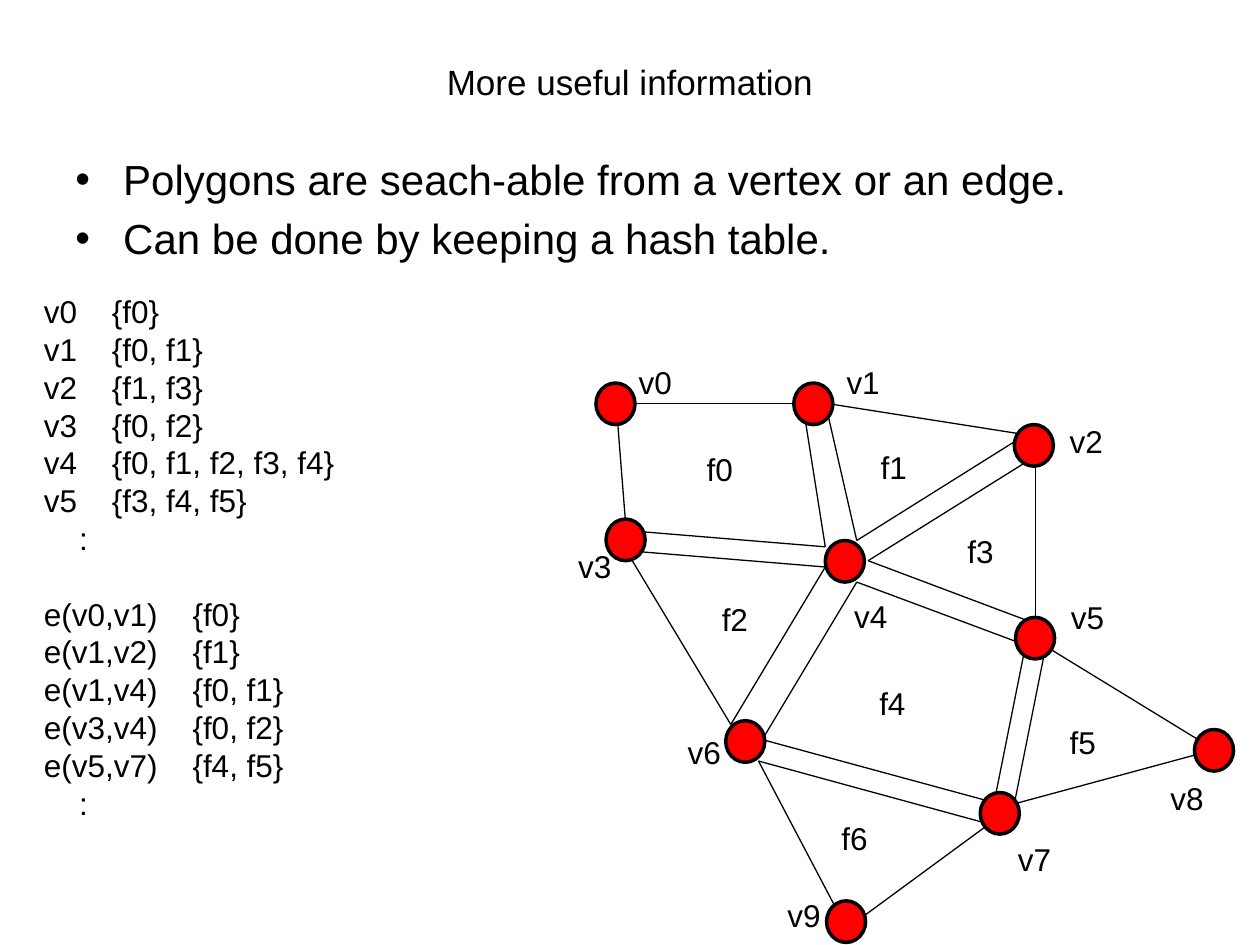
from dataclasses import dataclass
from lxml.etree import SubElement
from pptx import Presentation
from pptx.dml.color import RGBColor
from pptx.enum.shapes import MSO_CONNECTOR, MSO_SHAPE
from pptx.enum.text import MSO_ANCHOR, PP_ALIGN
from pptx.oxml.ns import qn
from pptx.util import Cm, Pt


@dataclass(frozen=True)
class Theme:
    font: str = "Arial"
    ink: RGBColor = RGBColor(0, 0, 0)
    node: RGBColor = RGBColor(255, 0, 0)
    head: float = 20
    body: float = 24
    note: float = 18
    thin: float = 0.75
    ring: float = 2


THEME = Theme()
TITLE = "More useful information"
POINTS = [
    "Polygons are seach-able from a vertex or an edge.",
    "Can be done by keeping a hash table.",
]
TABLES = [
    (0.54, [
        ("v0", "{f0}"),
        ("v1", "{f0, f1}"),
        ("v2", "{f1, f3}"),
        ("v3", "{f0, f2}"),
        ("v4", "{f0, f1, f2, f3, f4}"),
        ("v5", "{f3, f4, f5}"),
    ]),
    (1.18, [
        ("e(v0,v1)", "{f0}"),
        ("e(v1,v2)", "{f1}"),
        ("e(v1,v4)", "{f0, f1}"),
        ("e(v3,v4)", "{f0, f2}"),
        ("e(v5,v7)", "{f4, f5}"),
    ]),
]
FACES = [
    ("f0", (5.51, 3.52), [(4.89, 3.2), (6.37, 3.2), (6.55, 4.34), (4.97, 4.21)]),
    ("f1", (6.89, 3.51), [(6.55, 3.2), (8.14, 3.45), (6.8, 4.29)]),
    ("f2", (5.63, 4.71), [(6.55, 4.5), (5.8, 5.75), (4.97, 4.37)]),
    ("f3", (7.58, 4.17), [(6.89, 4.45), (8.22, 3.62), (8.22, 4.95)]),
    ("f4", (6.88, 5.38), [(6.8, 4.62), (8.14, 5.12), (7.89, 6.37), (6.05, 5.87)]),
    ("f5", (8.39, 5.69), [(9.64, 5.95), (8.05, 6.38), (8.3, 5.13)]),
    ("f6", (6.58, 6.45), [(6.02, 6.04), (7.85, 6.54), (6.72, 7.37)]),
]
NODES = [
    ("v0", (4.97, 2.83), (4.73, 3.04)),
    ("v1", (6.62, 2.83), (6.3, 3.04)),
    ("v2", (8.39, 3.3), (8.05, 3.37)),
    ("v3", (4.49, 4.29), (4.81, 4.12)),
    ("v4", (6.68, 4.69), (6.55, 4.29)),
    ("v5", (8.4, 4.7), (8.06, 4.9)),
    ("v6", (5.36, 5.77), (5.76, 5.72)),
    ("v7", (7.98, 6.62), (7.78, 6.29)),
    ("v8", (9.19, 6.13), (9.48, 5.79)),
    ("v9", (6.15, 7.06), (6.56, 7.15)),
]
DOT = (0.31, 0.33)
TAG = (0.79, 0.4)


def inch(num):
    return Cm(num * 2.54)


def span(*nums):
    return [inch(num) for num in nums]


def add_run(para, text, size):
    run = para.add_run()
    run.text = text
    run.font.name = THEME.font
    run.font.size = Pt(size)
    run.font.color.rgb = THEME.ink


def add_box(slide, place, size):
    frame = slide.shapes.add_textbox(*span(*place, *size)).text_frame
    frame.word_wrap = True
    return frame


def add_para(frame, first):
    return frame.paragraphs[0] if first else frame.add_paragraph()


def add_tag(slide, text, place):
    frame = add_box(slide, place, TAG)
    add_run(frame.paragraphs[0], text, THEME.note)


def add_edge(slide, start, end):
    edge = slide.shapes.add_connector(
        MSO_CONNECTOR.STRAIGHT, *span(*start, *end))
    edge.line.color.rgb = THEME.ink
    edge.line.width = Pt(THEME.thin)
    SubElement(edge._element.spPr, qn("a:effectLst"))


def add_dot(slide, place):
    dot = slide.shapes.add_shape(MSO_SHAPE.OVAL, *span(*place, *DOT))
    dot.shadow.inherit = False
    dot.fill.solid()
    dot.fill.fore_color.rgb = THEME.node
    dot.line.color.rgb = THEME.ink
    dot.line.width = Pt(THEME.ring)


def add_head(slide):
    frame = add_box(slide, (0.5, 0.3), (9, 0.7))
    frame.vertical_anchor = MSO_ANCHOR.MIDDLE
    frame.paragraphs[0].alignment = PP_ALIGN.CENTER
    add_run(frame.paragraphs[0], TITLE, THEME.head)


def add_points(slide):
    frame = add_box(slide, (0.5, 1.17), (9, 5.53))
    for num, text in enumerate(POINTS):
        para = add_para(frame, num == 0)
        para.space_before = Pt(THEME.body * 0.2)
        para.line_spacing = Pt(THEME.body * 1.2)
        props = para._p.get_or_add_pPr()
        props.set("marL", str(inch(0.38)))
        props.set("indent", str(-inch(0.38)))
        SubElement(props, qn("a:buFont"), typeface=THEME.font)
        SubElement(props, qn("a:buChar"), char="•")
        add_run(para, text, THEME.body)


def add_tables(slide):
    frame = add_box(slide, (0.25, 2.27), (3.83, 4.64))
    pitch = Pt(THEME.note * 1.2)
    for part, (stop, rows) in enumerate(TABLES):
        for num, row in enumerate(rows + [(":",)]):
            para = add_para(frame, part == num == 0)
            para.line_spacing = pitch
            if part and num == 0:
                para.space_before = pitch
            props = para._p.get_or_add_pPr()
            if len(row) == 1:
                props.set("marL", str(inch(0.28)))
            else:
                tabs = SubElement(props, qn("a:tabLst"))
                SubElement(tabs, qn("a:tab"), pos=str(inch(stop)), algn="l")
            add_run(para, "\t".join(row), THEME.note)


def add_mesh(slide):
    for _, _, ends in FACES:
        for start, end in zip(ends, ends[1:] + ends[:1]):
            add_edge(slide, start, end)
    for _, _, place in NODES:
        add_dot(slide, place)
    for text, place, _ in NODES + FACES:
        add_tag(slide, text, place)


def main():
    deck = Presentation()
    deck.slide_width, deck.slide_height = span(10, 7.5)
    slide = deck.slides.add_slide(deck.slide_layouts[6])
    add_head(slide)
    add_points(slide)
    add_mesh(slide)
    add_tables(slide)
    deck.save("out.pptx")


if __name__ == "__main__":
    main()
